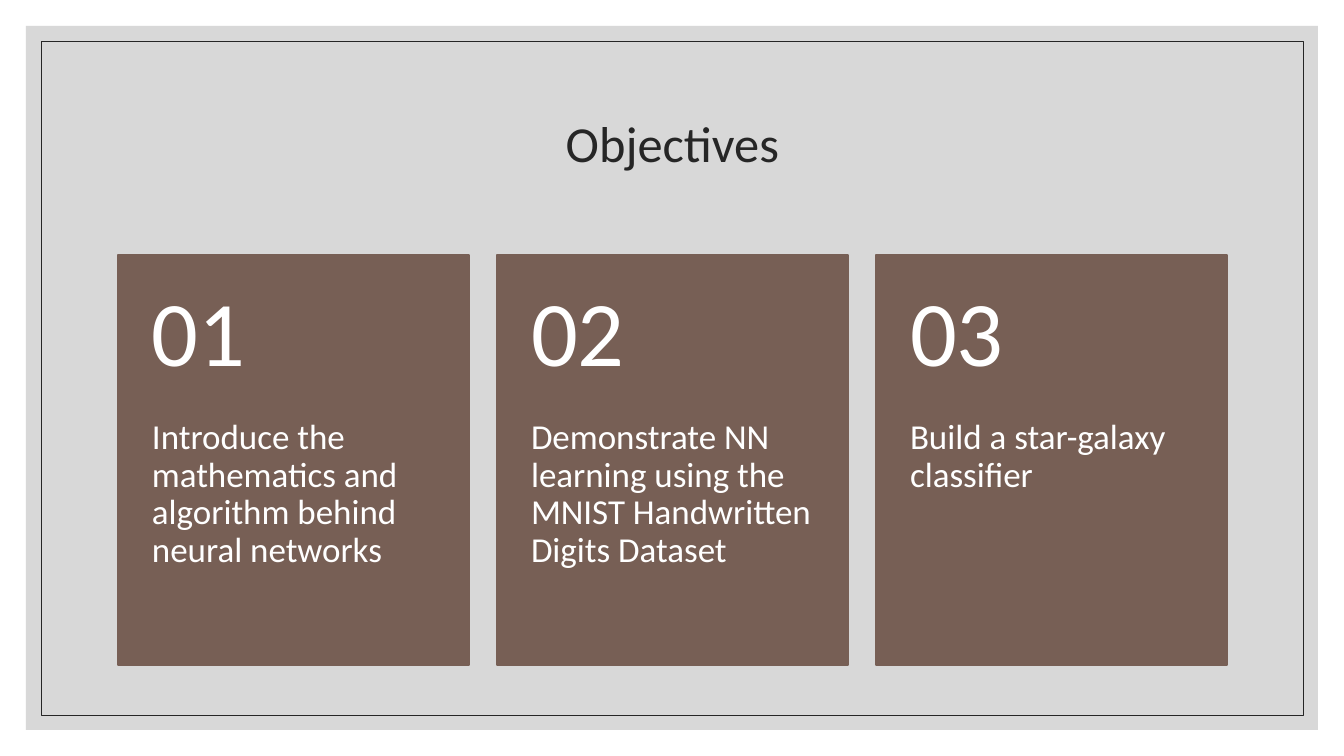
from lxml.etree import SubElement
from pptx import Presentation
from pptx.dml.color import RGBColor
from pptx.enum.shapes import MSO_SHAPE
from pptx.enum.text import MSO_ANCHOR, PP_ALIGN
from pptx.oxml.ns import qn
from pptx.util import Emu, Pt

WIDTH, HEIGHT = 1344, 756
SCALE = 12192000 / WIDTH
FONT = "Calibri"
INK, WHITE, BROWN, GREY = "262626", "FFFFFF", "775F55", "BFBFBF"
OBJECTIVES = [
    "Introduce the mathematics and algorithm behind neural networks",
    "Demonstrate NN learning using the MNIST Handwritten Digits Dataset",
    "Build a star-galaxy classifier",
]


def px(length):
    return Emu(round(length * SCALE))


def color(value):
    return RGBColor.from_string(value)


def place(shape, box):
    shape.left, shape.top, shape.width, shape.height = map(px, box)


def add_rectangle(slide, box, fill=None, line=None, weight=1, opacity=100):
    shape = slide.shapes.add_shape(MSO_SHAPE.RECTANGLE, *map(px, box))
    shape.shadow.inherit = False
    if fill:
        shape.fill.solid()
        shape.fill.fore_color.rgb = color(fill)
        if opacity < 100:
            fill_color = shape.fill._xPr.find(qn("a:solidFill"))[0]
            SubElement(fill_color, qn("a:alpha"), val=str(opacity * 1000))
    else:
        shape.fill.background()
    if line:
        shape.line.color.rgb = color(line)
        shape.line.width = Pt(weight)
    else:
        shape.line.fill.background()
    return shape


def write_text(shape, text, size, ink=WHITE, align=PP_ALIGN.LEFT,
               anchor=MSO_ANCHOR.TOP, insets=(10, 5, 10, 5)):
    frame = shape.text_frame
    frame.word_wrap = True
    frame.vertical_anchor = anchor
    (frame.margin_left, frame.margin_top,
     frame.margin_right, frame.margin_bottom) = map(px, insets)
    paragraph = frame.paragraphs[0]
    paragraph.alignment = align
    paragraph.line_spacing = 0.9
    run = paragraph.add_run()
    run.text = text
    run.font.name = FONT
    run.font.size = Pt(size)
    run.font.color.rgb = color(ink)


def add_background(slide, box):
    left, top, width, height = box
    for margin, style in (
        (26, {"fill": GREY, "opacity": 60}),
        (41, {"line": INK, "weight": 0.5}),
    ):
        inner = (left + margin, top + margin, width - 2 * margin, height - 2 * margin)
        add_rectangle(slide, inner, **style)


def add_title(slide, box, text):
    title = slide.shapes.title
    place(title, box)
    write_text(title, text, 36, ink=INK, align=PP_ALIGN.CENTER, anchor=MSO_ANCHOR.MIDDLE)
    slide.shapes.element.append(title.element)


def add_card(slide, box, number, text):
    left, top, width, height = box
    number_height = round(height * 0.4)
    add_rectangle(slide, box, fill=BROWN, line=BROWN)
    body_box = (left, top + number_height, width, height - number_height)
    body = slide.shapes.add_textbox(*map(px, body_box))
    write_text(body, text, 25, insets=(34, 0, 34, 36))
    heading = slide.shapes.add_textbox(*map(px, (left, top, width, number_height)))
    write_text(heading, f"{number:02}", 66, anchor=MSO_ANCHOR.MIDDLE, insets=(34, 18, 34, 18))


def add_cards(slide, box, texts, gap):
    left, top, width, height = box
    card_width = (width - gap * (len(texts) - 1)) / len(texts)
    for index, text in enumerate(texts):
        card_left = left + index * (card_width + gap)
        add_card(slide, (card_left, top, card_width, height), index + 1, text)


presentation = Presentation()
presentation.slide_width, presentation.slide_height = px(WIDTH), px(HEIGHT)
slide = presentation.slides.add_slide(presentation.slide_layouts[5])
add_background(slide, (0, 0, WIDTH, HEIGHT))
add_title(slide, (118, 71, 1109, 151), "Objectives")
add_cards(slide, (118, 255, 1109, 410), OBJECTIVES, gap=28)
presentation.save("out.pptx")
